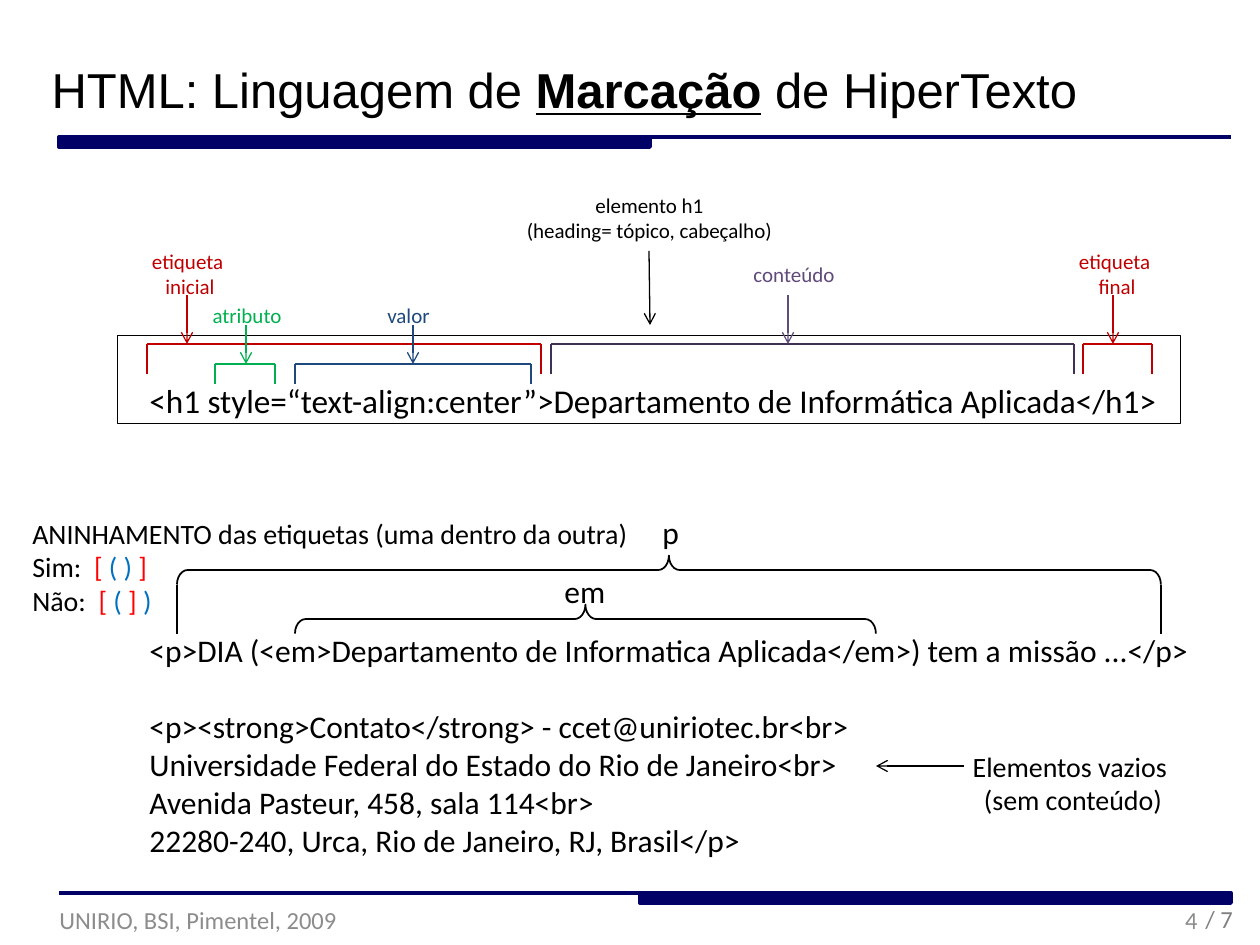
import pptx
import pptx.dml.color
import pptx.enum.shapes
import pptx.enum.text
import pptx.oxml
import pptx.oxml.ns
import pptx.util

RGB = pptx.dml.color.RGBColor
BLACK = RGB(0, 0, 0)
NAVY = RGB(0x00, 0x00, 0x66)
GREY = RGB(0x80, 0x80, 0x80)
FOOTER_GREY = RGB(0x8C, 0x8C, 0x8C)
CRIMSON = RGB(0xC0, 0x00, 0x00)
GREEN = RGB(0x00, 0xB0, 0x50)
NAVY_BLUE = RGB(0x1F, 0x49, 0x7D)
PURPLE = RGB(0x60, 0x4A, 0x7B)
DARK_PURPLE = RGB(0x40, 0x31, 0x52)
RED = RGB(0xFF, 0, 0)
BLUE = RGB(0x00, 0x70, 0xC0)

LEFT = pptx.enum.text.PP_ALIGN.LEFT
CENTER = pptx.enum.text.PP_ALIGN.CENTER
RIGHT = pptx.enum.text.PP_ALIGN.RIGHT
TOP = pptx.enum.text.MSO_ANCHOR.TOP
MIDDLE = pptx.enum.text.MSO_ANCHOR.MIDDLE
RECTANGLE = pptx.enum.shapes.MSO_SHAPE.RECTANGLE
BRACE = pptx.enum.shapes.MSO_SHAPE.RIGHT_BRACE

TITLE = [("HTML: Linguagem de ", False), ("Marcação", True), (" de HiperTexto", False)]
RULES = [(137, 59), (893, 640)]
RULE_LEFT, RULE_RIGHT, BAR_WIDTH, BAR_HEIGHT = 59, 1231, 591, 10

# place, size, colour, alignment, lines
LABELS = [
    ((136, 242, 108, 64), 12, CRIMSON, CENTER, ["etiqueta ", "inicial"]),
    ((199, 296, 96, 38), 12, GREEN, CENTER, ["atributo"]),
    ((373, 296, 71, 38), 12, NAVY_BLUE, CENTER, ["valor"]),
    ((738, 255, 112, 38), 12, PURPLE, CENTER, ["conteúdo"]),
    ((1063, 242, 108, 64), 12, CRIMSON, CENTER, ["etiqueta ", "final"]),
    ((513, 186, 273, 64), 12, BLACK, CENTER, ["elemento h1", "(heading= tópico, cabeçalho)"]),
    ((137, 374, 1047, 53), 19, BLACK, LEFT,
     ["<h1 style=“text-align:center”>Departamento de Informática Aplicada</h1>"]),
    ((650, 507, 43, 50), 18, BLACK, LEFT, ["p"]),
    ((552, 566, 67, 50), 18, BLACK, LEFT, ["em"]),
    ((1193, 898, 53, 43), 14, GREY, LEFT, ["/ 7"]),
]
PARAGRAPHS = [
    ((137, 625, 1113, 242), 18, BLACK, LEFT, [
        "<p>DIA (<em>Departamento de Informatica Aplicada</em>) tem a missão ...</p>",
        "<p><strong>Contato</strong> - ccet@uniriotec.br<br>",
        "Universidade Federal do Estado do Rio de Janeiro<br>",
        "Avenida Pasteur, 458, sala 114<br>",
        "22280-240, Urca, Rio de Janeiro, RJ, Brasil</p>"]),
    ((20, 510, 640, 115), 16, BLACK, LEFT, [
        "ANINHAMENTO das etiquetas (uma dentro da outra)",
        [("Sim:  ", BLACK), ("[ ", RED), ("( ) ", BLUE), ("]", RED)],
        [("Não:  ", BLACK), ("[ ", RED), ("( ", BLUE), ("] ", RED), (")", BLUE)]]),
    ((945, 743, 256, 81), 16, BLACK, CENTER, ["Elementos vazios ", "(sem conteúdo)"]),
]
FOOTERS = [
    ((916, 895, 294, 50), 14, FOOTER_GREY, RIGHT, ["4"]),
    ((47, 895, 593, 50), 14, FOOTER_GREY, LEFT, ["UNIRIO, BSI, Pimentel, 2009"]),
]
# left, right, top, bottom, colour
BRACKETS = [
    (147, 541, 344, 374, CRIMSON),
    (215, 275, 364, 384, GREEN),
    (295, 531, 364, 384, NAVY_BLUE),
    (551, 1074, 344, 374, DARK_PURPLE),
    (1083, 1152, 344, 374, CRIMSON),
]
ARROWS = [
    ((187, 295), (187, 344), CRIMSON),
    ((246, 325), (246, 364), GREEN),
    ((413, 325), (413, 364), NAVY_BLUE),
    ((788, 295), (788, 344), PURPLE),
    ((1113, 295), (1113, 344), CRIMSON),
    ((649, 251), (650, 325), BLACK),
    ((964, 766), (876, 766), BLACK),
]
# left, right, middle
BRACES = [(295, 876, 619), (177, 1161, 570)]
BRACE_DEPTH = 29
DROP_TOP, DROP_BOTTOM = 585, 634

deck = pptx.Presentation()
deck.slide_width = pptx.util.Inches(10)
deck.slide_height = pptx.util.Inches(7.5)
page = deck.slides.add_slide(deck.slide_layouts[5])


def px(*lengths):
    return [round(length * 914400 / 126) for length in lengths]


def add_span(para, text, size, colour, font="Calibri"):
    span = para.add_run()
    span.text = text
    span.font.size = pptx.util.Pt(size)
    span.font.name = font
    span.font.color.rgb = colour
    return span


def add_text(place, size, colour, align, lines, wrap=False, anchor=TOP):
    box = page.shapes.add_textbox(*px(*place))
    frame = box.text_frame
    frame.word_wrap = wrap
    frame.vertical_anchor = anchor
    for index, line in enumerate(lines):
        para = frame.paragraphs[0] if index == 0 else frame.add_paragraph()
        para.alignment = align
        spans = [(line, colour)] if isinstance(line, str) else line
        for text, span_colour in spans:
            add_span(para, text, size, span_colour)
    return box


def add_line(start, end, colour, width=0.75, arrow=False):
    line = page.shapes.add_connector(
        pptx.enum.shapes.MSO_CONNECTOR.STRAIGHT, *px(*start, *end))
    line.line.color.rgb = colour
    line.line.width = pptx.util.Pt(width)
    if arrow:
        outline = line.line._get_or_add_ln()
        tail = pptx.oxml.parse_xml(
            "<a:tailEnd %s type='arrow'/>" % pptx.oxml.ns.nsdecls("a"))
        outline.append(tail)
    effects = pptx.oxml.parse_xml("<a:effectLst %s/>" % pptx.oxml.ns.nsdecls("a"))
    line._element.spPr.append(effects)


def add_outline(kind, place, colour, width, fill=None):
    shape = page.shapes.add_shape(kind, *px(*place))
    shape.shadow.inherit = False
    shape.line.color.rgb = colour
    shape.line.width = pptx.util.Pt(width)
    if fill is None:
        shape.fill.background()
    else:
        shape.fill.solid()
        shape.fill.fore_color.rgb = fill
    return shape


for top, bar_left in RULES:
    add_line((RULE_LEFT, top), (RULE_RIGHT, top), NAVY, 2.25)
    add_outline(RECTANGLE, (bar_left, top, BAR_WIDTH, BAR_HEIGHT), NAVY, 2.25, NAVY)

title = page.shapes.title
title.left, title.top, title.width, title.height = px(39, 10, 1201, 158)
title.text_frame.word_wrap = True
title.text_frame.auto_size = pptx.enum.text.MSO_AUTO_SIZE.NONE
title.text_frame.vertical_anchor = MIDDLE
heading = title.text_frame.paragraphs[0]
heading.alignment = LEFT
for text, marked in TITLE:
    span = add_span(heading, text, 28, BLACK, "Arial")
    span.font.bold = marked
    span.font.underline = marked

add_outline(RECTANGLE, (117, 335, 1063, 88), BLACK, 0.25)
for label in LABELS:
    add_text(*label)
code, nesting, empty_elements = [add_text(*entry, wrap=True) for entry in PARAGRAPHS]
code.text_frame.paragraphs[1].space_before = pptx.util.Pt(22)
for footer in FOOTERS:
    add_text(*footer, wrap=True, anchor=MIDDLE)

for left, right, top, bottom, colour in BRACKETS:
    add_line((left, top), (right, top), colour)
    for side in (left, right):
        add_line((side, top), (side, bottom), colour)
for start, end, colour in ARROWS:
    add_line(start, end, colour, arrow=True)

for left, right, middle in BRACES:
    span_width = right - left
    center = (left + right) / 2
    brace = add_outline(
        BRACE,
        (center - BRACE_DEPTH / 2, middle - span_width / 2, BRACE_DEPTH, span_width),
        BLACK, 1)
    brace.rotation = 270
    brace.adjustments[0] = 0.37
    brace.adjustments[1] = 0.5
for side in BRACES[1][:2]:
    add_line((side, DROP_TOP), (side, DROP_BOTTOM), BLACK, 1)

deck.save("out.pptx")
